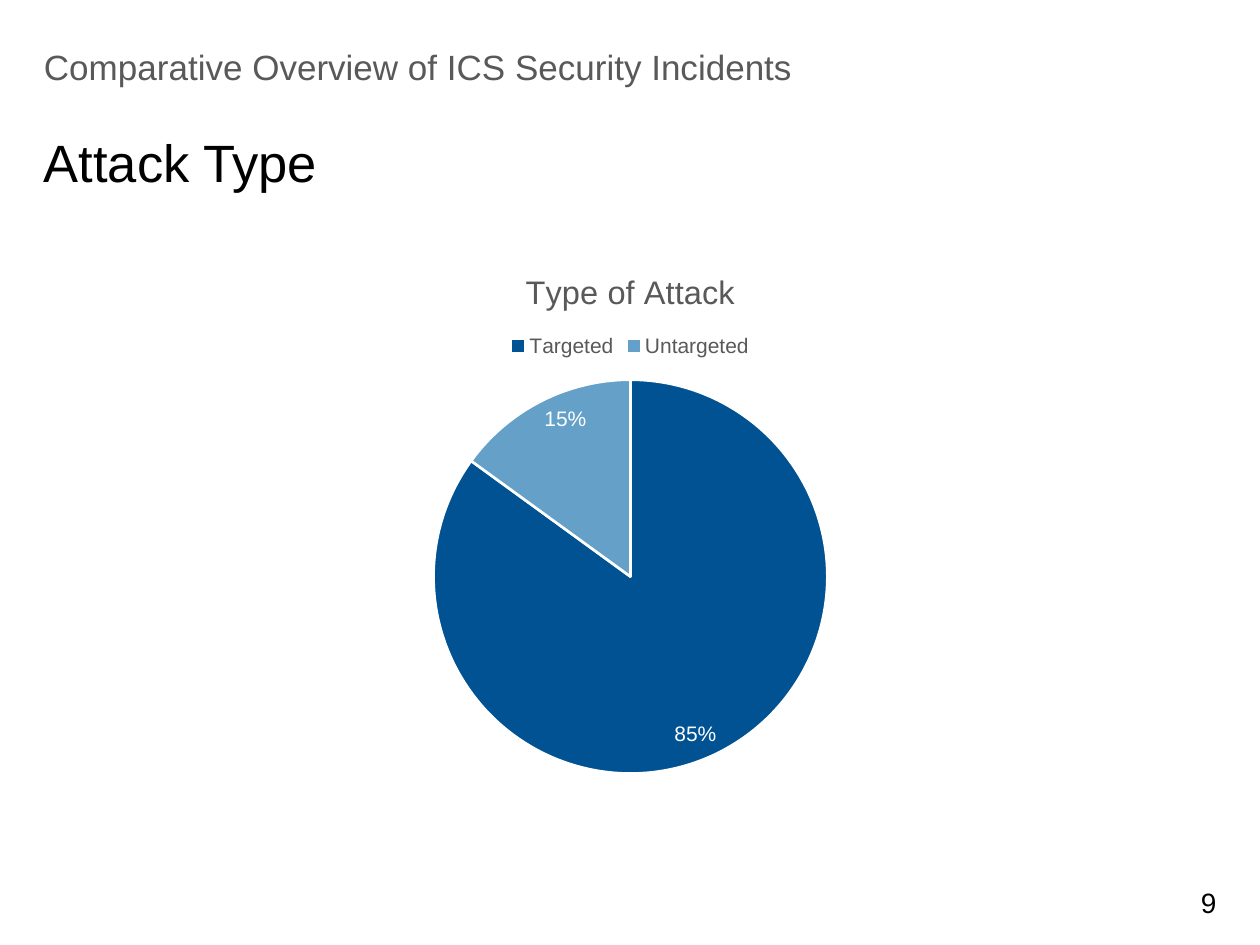
"""Build the attack type slide with its pie chart of targeted and untargeted incidents."""
import pptx
import pptx.chart.data
import pptx.dml.color
import pptx.enum.chart
import pptx.util

PX = 914400 / 126
BLACK = pptx.dml.color.RGBColor(0x00, 0x00, 0x00)
GREY = pptx.dml.color.RGBColor(0x59, 0x59, 0x59)
WHITE = pptx.dml.color.RGBColor(0xFF, 0xFF, 0xFF)
DARK_BLUE = pptx.dml.color.RGBColor(0x00, 0x52, 0x93)
LIGHT_BLUE = pptx.dml.color.RGBColor(0x64, 0xA0, 0xC8)


def emu(*lengths):
    return [round(length * PX) for length in lengths]


def style(font, size, color):
    font.name = "Arial"
    font.size = pptx.util.Pt(size)
    font.bold = False
    font.color.rgb = color


deck = pptx.Presentation()
deck.slide_width, deck.slide_height = emu(1260, 945)
page = deck.slides.add_slide(deck.slide_layouts[6])

chart_data = pptx.chart.data.CategoryChartData()
chart_data.categories = ["Targeted", "Untargeted"]
chart_data.add_series("Type of Attack", [85, 15])
chart = page.shapes.add_chart(
    pptx.enum.chart.XL_CHART_TYPE.PIE, *emu(44, 247, 1173, 544), chart_data
).chart
style(chart.font, 10, BLACK)

chart.has_title = True
title = chart.chart_title.text_frame
title.text = "Type of Attack"
style(title.paragraphs[0].font, 18.6, GREY)

chart.has_legend = True
chart.legend.position = pptx.enum.chart.XL_LEGEND_POSITION.TOP
chart.legend.include_in_layout = False
style(chart.legend.font, 12, GREY)

plot = chart.plots[0]
plot.vary_by_categories = True
for index, color in enumerate([DARK_BLUE, LIGHT_BLUE]):
    wedge = plot.series[0].points[index].format
    wedge.fill.solid()
    wedge.fill.fore_color.rgb = color
    wedge.line.color.rgb = WHITE
    wedge.line.width = pptx.util.Pt(1.5)

labels = plot.series[0].data_labels
labels.show_percentage = True
labels.show_value = False
labels.number_format = "0%"
labels.number_format_is_linked = False
labels.position = pptx.enum.chart.XL_LABEL_POSITION.INSIDE_END
style(labels.font, 12, WHITE)

texts = [
    ("Attack Type", (44, 137, 1173, 57), 30, BLACK, pptx.util.Pt(32), True),
    ("9", (1201, 881, 15, 35), 16, BLACK, 1.14, False),
    ("Comparative Overview of ICS Security Incidents", (44, 32, 755, 52), 20, GREY, pptx.util.Pt(32), True),
]
for text, place, size, color, spacing, wrap in texts:
    frame = page.shapes.add_textbox(*emu(*place)).text_frame
    frame.margin_left = frame.margin_top = frame.margin_right = frame.margin_bottom = 0
    frame.word_wrap = wrap
    para = frame.paragraphs[0]
    para.text = text
    para.line_spacing = spacing
    style(para.font, size, color)

deck.save("out.pptx")
